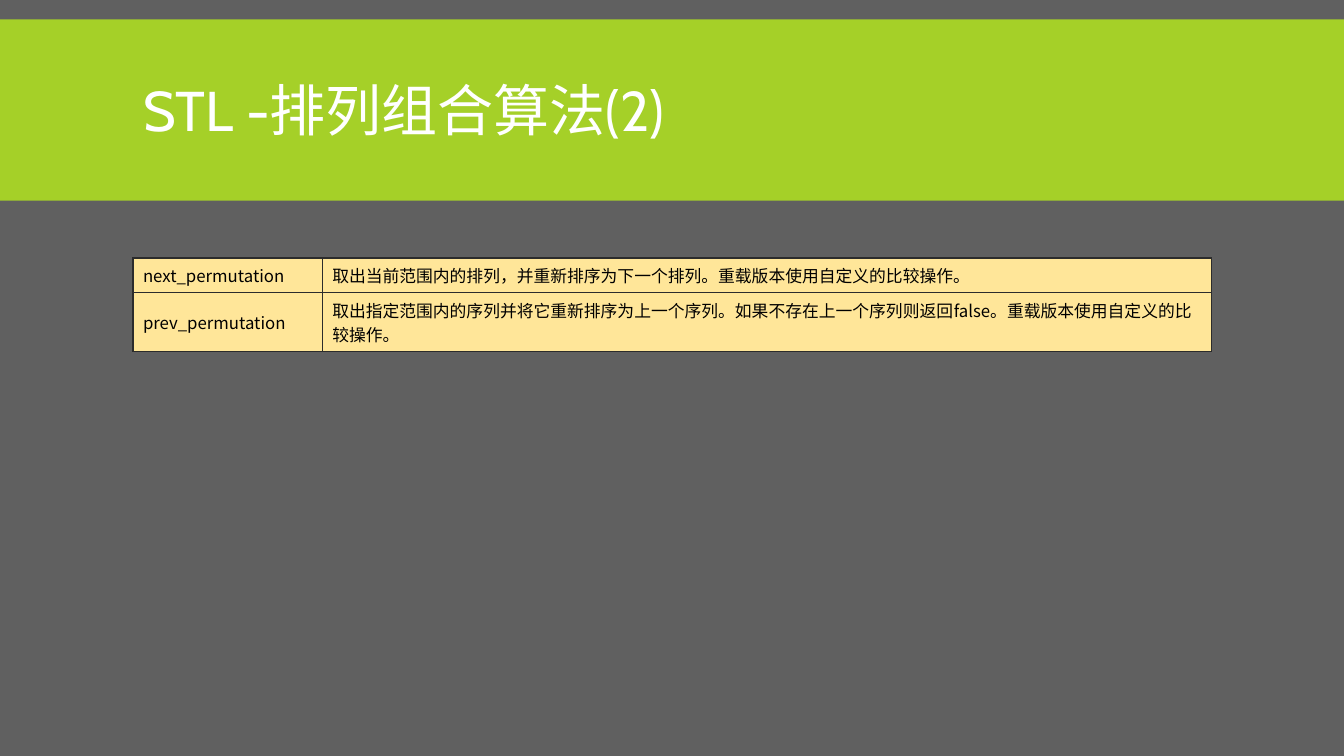
import pptx
import pptx.dml.color
import pptx.enum.shapes
import pptx.enum.text
import pptx.oxml
import pptx.oxml.ns
import pptx.util
import lxml.etree

Cm = pptx.util.Cm
Pt = pptx.util.Pt
qn = pptx.oxml.ns.qn
RGB = pptx.dml.color.RGBColor.from_string
CJK = "Noto Sans CJK SC"
colors = {"back": "606060", "band": "A5D028", "title": "FFFFFF",
          "cell": "FFE699", "text": "000000", "edge": "2C2C2C"}


def write(frame, text, size=12, font=CJK, color="text", space=1.0):
    """Put one formatted, left-aligned paragraph in a text frame."""
    frame.word_wrap = True
    para = frame.paragraphs[0]
    para.alignment = pptx.enum.text.PP_ALIGN.LEFT
    para.line_spacing = space
    run = para.add_run()
    run.text = text
    run.font.size = Pt(size)
    run.font.name = font
    run.font.color.rgb = RGB(colors[color])
    east = lxml.etree.SubElement(run.font._element, qn("a:ea"))
    east.set("typeface", CJK)


def border(cell):
    """Draw a thin line on all four sides of a cell."""
    props = cell._tc.get_or_add_tcPr()
    for spot, side in enumerate(("lnL", "lnR", "lnT", "lnB")):
        line = lxml.etree.Element(qn("a:" + side), w=str(Pt(1)))
        fill = lxml.etree.SubElement(line, qn("a:solidFill"))
        lxml.etree.SubElement(fill, qn("a:srgbClr"), val=colors["edge"])
        props.insert(spot, line)


# Slide and background
deck = pptx.Presentation()
deck.slide_width = Cm(33.87)
deck.slide_height = Cm(19.05)
slide = deck.slides.add_slide(deck.slide_layouts[5])
slide.background.fill.solid()
slide.background.fill.fore_color.rgb = RGB(colors["back"])

# Green band behind the title
band = slide.shapes.add_shape(pptx.enum.shapes.MSO_SHAPE.RECTANGLE,
                              0, Cm(0.49), deck.slide_width, Cm(4.57))
band.shadow.inherit = False
band.fill.solid()
band.fill.fore_color.rgb = RGB(colors["band"])
band.line.fill.background()
slide.shapes._spTree.insert(2, band._element)

# Title
title = slide.shapes.title
title.left, title.top = Cm(3.35), Cm(0.79)
title.width, title.height = Cm(27.18), Cm(4.19)
title.text_frame.auto_size = pptx.enum.text.MSO_AUTO_SIZE.NONE
title.text_frame.vertical_anchor = pptx.enum.text.MSO_ANCHOR.MIDDLE
write(title.text_frame, "STL -排列组合算法(2)", size=40, font="Cabin",
      color="title", space=0.85)

# Table of algorithms
rows = [
    ("next_permutation",
     "取出当前范围内的排列，并重新排序为下一个排列。重载版本使用自定义的比较操作。"),
    ("prev_permutation",
     "取出指定范围内的序列并将它重新排序为上一个序列。如果不存在上一个序列则返回false。"
     "重载版本使用自定义的比较操作。"),
]
table = slide.shapes.add_table(2, 2, Cm(3.35), Cm(6.5),
                               Cm(27.18), Cm(2.35)).table
for col, width in zip(table.columns, (4.77, 22.41)):
    col.width = Cm(width)
for row, height, texts in zip(table.rows, (0.87, 1.48), rows):
    row.height = Cm(height)
    for cell, text in zip(row.cells, texts):
        cell.vertical_anchor = pptx.enum.text.MSO_ANCHOR.MIDDLE
        cell.fill.solid()
        cell.fill.fore_color.rgb = RGB(colors["cell"])
        border(cell)
        write(cell.text_frame, text)
        cell.text_frame.paragraphs[0].runs[0].font.bold = False

deck.save("out.pptx")
